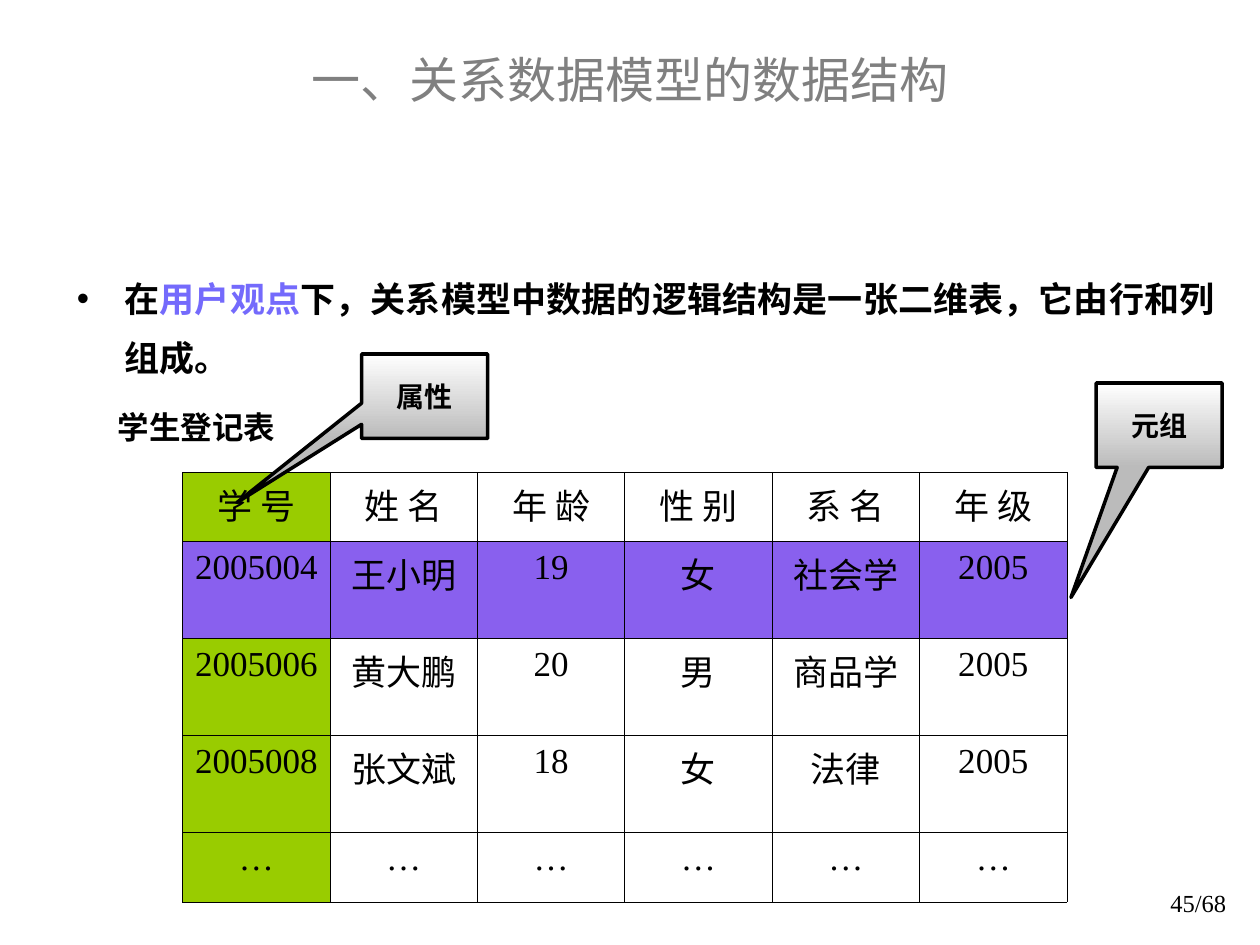
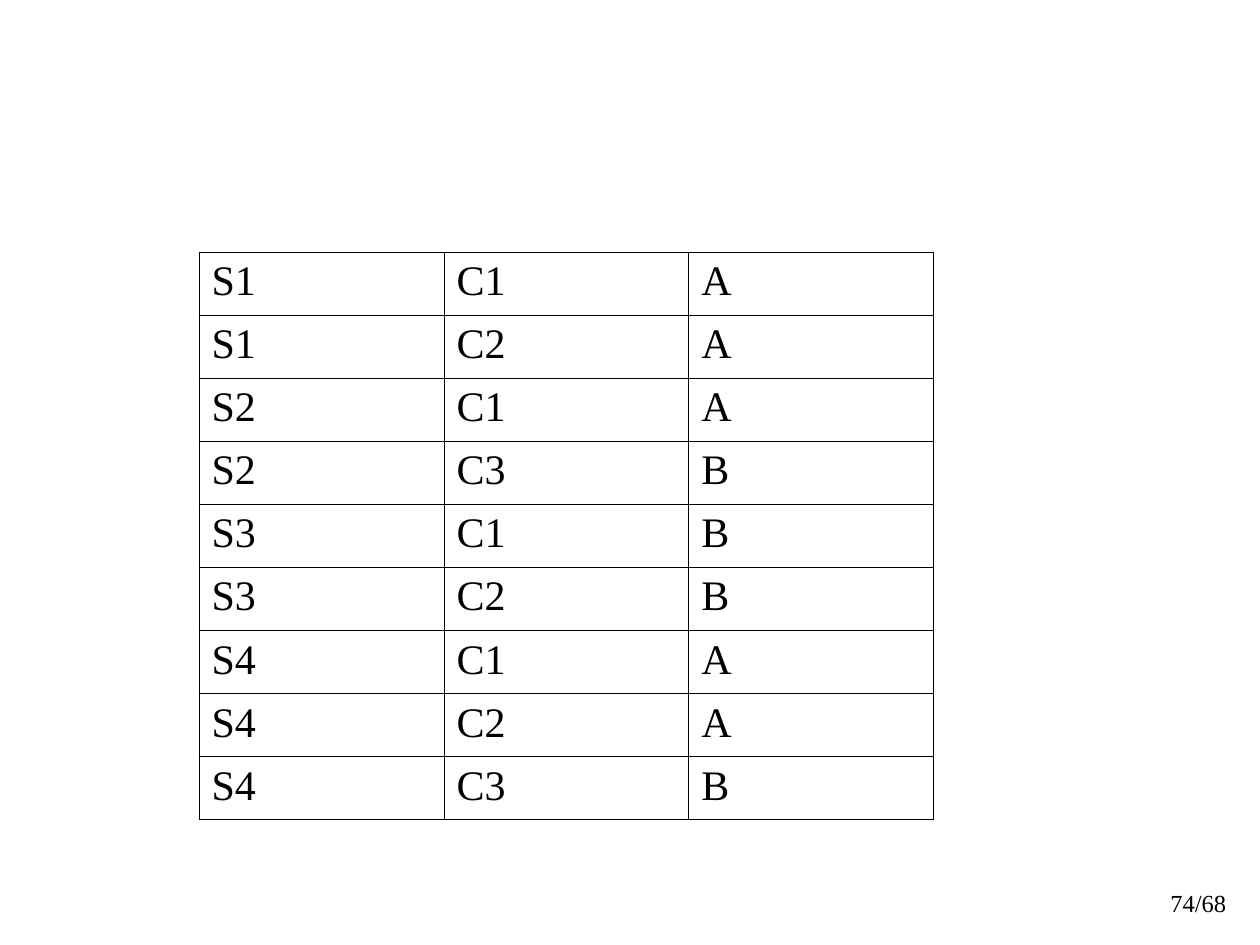
from lxml import etree
from pptx import Presentation
from pptx.dml.color import RGBColor
from pptx.enum.shapes import MSO_SHAPE
from pptx.enum.text import MSO_ANCHOR, MSO_AUTO_SIZE, PP_ALIGN
from pptx.oxml.ns import qn
from pptx.util import Inches, Pt

CALLOUT = MSO_SHAPE.RECTANGULAR_CALLOUT
MIDDLE, TOP = MSO_ANCHOR.MIDDLE, MSO_ANCHOR.TOP
NO_AUTOFIT = MSO_AUTO_SIZE.NONE
LEFT, CENTER, RIGHT, JUSTIFY = PP_ALIGN.LEFT, PP_ALIGN.CENTER, PP_ALIGN.RIGHT, PP_ALIGN.JUSTIFY

SERIF, SANS = "Times New Roman", "Arial"
BLACK, WHITE, GRAY, SILVER = "000000", "FFFFFF", "808080", "BBBBBB"
BLUE, GREEN, PURPLE = "746AFC", "99CC00", "8960EE"
TITLE_LAYOUT, BLANK_LAYOUT = 1, 6
BORDER_WIDTH = Pt(0.45)

STUDENTS = [
    ["学 号", "姓 名", "年 龄", "性 别", "系 名", "年 级"],
    ["2005004", "王小明", "19", "女", "社会学", "2005"],
    ["2005006", "黄大鹏", "20", "男", "商品学", "2005"],
    ["2005008", "张文斌", "18", "女", "法律", "2005"],
    ["…"] * 6,
]
TUPLE_ROW, KEY_COLUMN = 1, 0
GRADES = [row.split() for row in (
    "S1 C1 A", "S1 C2 A", "S2 C1 A", "S2 C3 B", "S3 C1 B",
    "S3 C2 B", "S4 C1 A", "S4 C2 A", "S4 C3 B")]


def rgb(color):
    """Turn a hex string into a colour."""
    return RGBColor.from_string(color)


def format_paragraph(paragraph, size, font=SERIF, color=BLACK, bold=False, align=LEFT):
    """Set the alignment and font of a paragraph."""
    paragraph.alignment = align
    paragraph.font.size = Pt(size)
    paragraph.font.name = font
    paragraph.font.bold = bold
    paragraph.font.color.rgb = rgb(color)


def place(shape, box):
    """Move a shape to a box of left, top, width and height in inches."""
    shape.left, shape.top, shape.width, shape.height = map(Inches, box)


def add_label(slide, box, text, size, wrap=True, **style):
    """Add a one-line text box."""
    frame = slide.shapes.add_textbox(*map(Inches, box)).text_frame
    frame.word_wrap = wrap
    frame.text = text
    format_paragraph(frame.paragraphs[0], size, **style)


def add_page_number(slide, text):
    """Add the page count in the bottom right corner."""
    add_label(slide, (7.75, 7, 2.08, 0.5), text, 14, align=RIGHT)


def fill_title(slide, box, text):
    """Place and format the title."""
    title = slide.shapes.title
    place(title, box)
    title.text_frame.text = text
    title.text_frame.vertical_anchor = MIDDLE
    format_paragraph(title.text_frame.paragraphs[0], 28, SANS, GRAY, align=CENTER)


def fill_body(slide, box, runs):
    """Fill the body with one bullet made of text and colour pairs."""
    body = slide.placeholders[1]
    place(body, box)
    frame = body.text_frame
    frame.auto_size = NO_AUTOFIT
    frame.vertical_anchor = TOP
    paragraph = frame.paragraphs[0]
    properties = paragraph._p.get_or_add_pPr()
    properties.set("marL", str(Inches(0.38)))
    properties.set("indent", str(-Inches(0.38)))
    paragraph.line_spacing = 1.4
    paragraph.space_before = Pt(0)
    format_paragraph(paragraph, 20, SANS, bold=True, align=JUSTIFY)
    for text, color in runs:
        run = paragraph.add_run()
        run.text = text
        run.font.color.rgb = rgb(color)


def add_borders(cell):
    """Draw thin black lines on all sides of a cell."""
    properties = cell._tc.get_or_add_tcPr()
    for side in ("a:lnL", "a:lnR", "a:lnT", "a:lnB"):
        line = etree.SubElement(properties, qn(side), w=str(int(BORDER_WIDTH)))
        fill = etree.SubElement(line, qn("a:solidFill"))
        etree.SubElement(fill, qn("a:srgbClr"), val=BLACK)


def add_grid(slide, box, rows, heights, size, align, side_margin=0.1):
    """Add a bordered table with equal columns and return it."""
    columns = len(rows[0])
    table = slide.shapes.add_table(len(rows), columns, *map(Inches, box)).table
    table.first_row = table.horz_banding = False
    for column in table.columns:
        column.width = Inches(box[2] / columns)
    for row, height, texts in zip(table.rows, heights, rows):
        row.height = Inches(height)
        for cell, text in zip(row.cells, texts):
            cell.text = text
            cell.margin_left = cell.margin_right = Inches(side_margin)
            format_paragraph(cell.text_frame.paragraphs[0], size, align=align)
            add_borders(cell)
            cell.fill.background()
    return table


def fill_cells(cells, color):
    """Fill cells with one colour."""
    for cell in cells:
        cell.fill.solid()
        cell.fill.fore_color.rgb = rgb(color)


def add_callout(slide, left, top, text, tip):
    """Add a gradient callout whose tip is relative to its size."""
    callout = slide.shapes.add_shape(CALLOUT, *map(Inches, (left, top, 1, 0.67)))
    callout.shadow.inherit = False
    callout.adjustments[0], callout.adjustments[1] = tip
    callout.fill.gradient()
    callout.fill.gradient_angle = 270
    for stop, color in zip(callout.fill.gradient_stops, (WHITE, SILVER)):
        stop.color.rgb = rgb(color)
    callout.line.color.rgb = rgb(BLACK)
    callout.line.width = Pt(2)
    frame = callout.text_frame
    frame.text = text
    frame.vertical_anchor = MIDDLE
    format_paragraph(frame.paragraphs[0], 16, bold=True, align=CENTER)


def build_structure_slide(presentation):
    """Build the slide that explains relations with a student table."""
    slide = presentation.slides.add_slide(presentation.slide_layouts[TITLE_LAYOUT])
    fill_title(slide, (0.75, 0, 8.5, 1.25), "一、关系数据模型的数据结构")
    fill_body(slide, (0.51, 2.02, 9.23, 1.1), [
        ("在", BLACK),
        ("用户观点", BLUE),
        ("下，关系模型中数据的逻辑结构是一张二维表，它由行和列组成。", BLACK),
    ])
    add_page_number(slide, "45/68")
    heights = [0.55, 0.77, 0.77, 0.77, 0.55]
    table = add_grid(slide, (1.45, 3.75, 7.02, 3.41), STUDENTS, heights, 20, CENTER, 0.09)
    fill_cells([row.cells[KEY_COLUMN] for row in table.rows], GREEN)
    fill_cells(table.rows[TUPLE_ROW].cells, PURPLE)
    add_label(slide, (0.46, 3.19, 2.2, 0.4), "学生登记表", 18, wrap=False, bold=True, align=CENTER)
    add_callout(slide, 2.87, 2.81, "属性", (-1.49, 1.26))
    add_callout(slide, 8.7, 3.04, "元组", (-0.7, 2.04))


def build_grades_slide(presentation):
    """Build the slide that holds the table of grades."""
    slide = presentation.slides.add_slide(presentation.slide_layouts[BLANK_LAYOUT])
    add_page_number(slide, "74/68")
    add_grid(slide, (1.58, 2, 5.83, 4.5), GRADES, [0.5] * len(GRADES), 24, LEFT)


def main():
    """Build and save the presentation."""
    presentation = Presentation()
    presentation.slide_width, presentation.slide_height = Inches(10), Inches(7.5)
    build_structure_slide(presentation)
    build_grades_slide(presentation)
    presentation.save("out.pptx")


if __name__ == "__main__":
    main()
